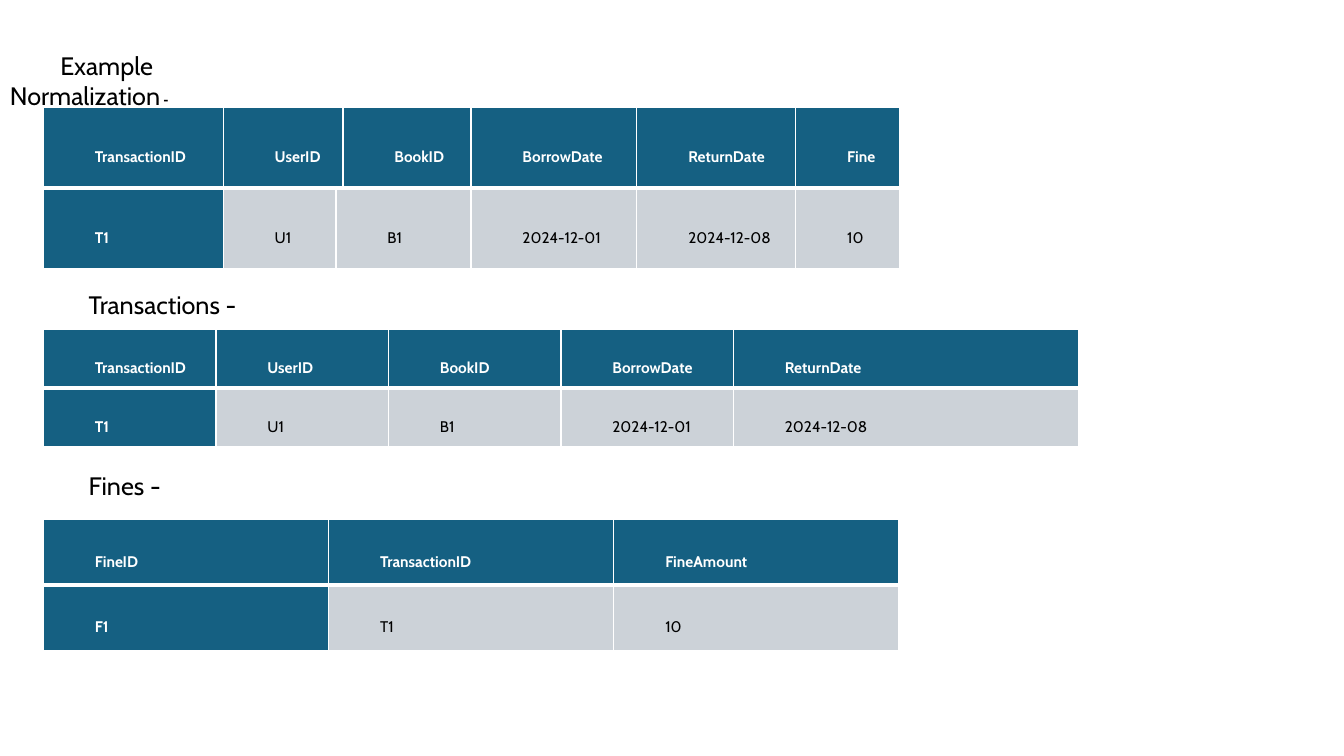
from dataclasses import dataclass

from lxml.etree import SubElement
from pptx import Presentation
from pptx.dml.color import RGBColor
from pptx.enum.text import MSO_ANCHOR, MSO_AUTO_SIZE
from pptx.oxml.ns import qn
from pptx.util import Pt


@dataclass(frozen=True)
class Theme:
    header_fill: str = "156082"
    body_fill: str = "CCD2D8"
    light: str = "FFFFFF"
    dark: str = "000000"
    font: str = "Cabin"
    dash_font: str = "Calibri"
    heading_size: float = 18
    cell_size: float = 11


theme = Theme()


def add_run(paragraph, text, size, color, bold=False, font=theme.font):
    run = paragraph.add_run()
    run.text = text
    run.font.name = font
    run.font.size = Pt(size)
    run.font.bold = bold
    run.font.color.rgb = RGBColor.from_string(color)


def add_borders(cell, bottom_width):
    properties = cell._tc.get_or_add_tcPr()
    for side, width in (("L", 1), ("R", 1), ("T", 1), ("B", bottom_width)):
        line = SubElement(properties, qn(f"a:ln{side}"), w=str(Pt(width)))
        fill = SubElement(line, qn("a:solidFill"))
        SubElement(fill, qn("a:srgbClr"), val=theme.light)


presentation = Presentation()
presentation.slide_width = Pt(960)
presentation.slide_height = Pt(540)
slide = presentation.slides.add_slide(presentation.slide_layouts[6])

indent = 36
table_left = 31
tables = [
    (76.5, 57.6, [128.5, 80.5, 5, 91.5, 118.5, 113.5, 74], [
        ["TransactionID", "UserID", None, "BookID", "BorrowDate", "ReturnDate", "Fine"],
        ["T1", "U1", "B1", None, "2024-12-01", "2024-12-08", "10"],
    ]),
    (235.5, 41.8, [123.25] * 4 + [246.5], [
        ["TransactionID", "UserID", "BookID", "BorrowDate", "ReturnDate"],
        ["T1", "U1", "B1", "2024-12-01", "2024-12-08"],
    ]),
    (371, 46.8, [203.75] * 3, [
        ["FineID", "TransactionID", "FineAmount"],
        ["F1", "T1", "10"],
    ]),
]

for top, row_height, widths, rows in tables:
    frame = slide.shapes.add_table(
        len(rows), len(widths), Pt(table_left), Pt(top),
        Pt(sum(widths)), Pt(row_height * len(rows)))
    table = frame.table
    table.first_col = True
    table.horz_banding = False
    for column, width in zip(table.columns, widths):
        column.width = Pt(width)
    for row_index, values in enumerate(rows):
        table.rows[row_index].height = Pt(row_height)
        for column_index, value in enumerate(values):
            cell = table.cell(row_index, column_index)
            is_header = row_index == 0 or column_index == 0
            add_borders(cell, 3 if row_index == 0 else 1)
            cell.fill.solid()
            cell.fill.fore_color.rgb = RGBColor.from_string(
                theme.header_fill if is_header else theme.body_fill)
            cell.vertical_anchor = MSO_ANCHOR.MIDDLE
            cell.margin_left = cell.margin_right = Pt(0.75)
            cell.margin_top = cell.margin_bottom = Pt(0.75)
            if value is None:
                table.cell(row_index, column_index - 1).merge(cell)
                continue
            paragraph = cell.text_frame.paragraphs[0]
            paragraph.line_spacing = 2.0
            paragraph._p.get_or_add_pPr().set("indent", str(Pt(indent)))
            add_run(paragraph, value, theme.cell_size,
                    theme.light if is_header else theme.dark, is_header)

headings = [
    ("Example Normalization", 0, 43.2, 227.5, True),
    ("Transactions -", 56.2, 203, 128, False),
    ("Fines -", 56.2, 332.6, 70, False),
]

for text, left, top, width, is_title in headings:
    box = slide.shapes.add_textbox(Pt(left), Pt(top), Pt(width), Pt(29))
    text_frame = box.text_frame
    text_frame.word_wrap = False
    text_frame.auto_size = MSO_AUTO_SIZE.SHAPE_TO_FIT_TEXT
    paragraph = text_frame.paragraphs[0]
    add_run(paragraph, text, theme.heading_size, theme.dark)
    if is_title:
        text_frame.vertical_anchor = MSO_ANCHOR.MIDDLE
        paragraph._p.get_or_add_pPr().set("indent", str(Pt(indent)))
        add_run(paragraph, " -", theme.cell_size, theme.dark, True, theme.dash_font)

presentation.save("out.pptx")
